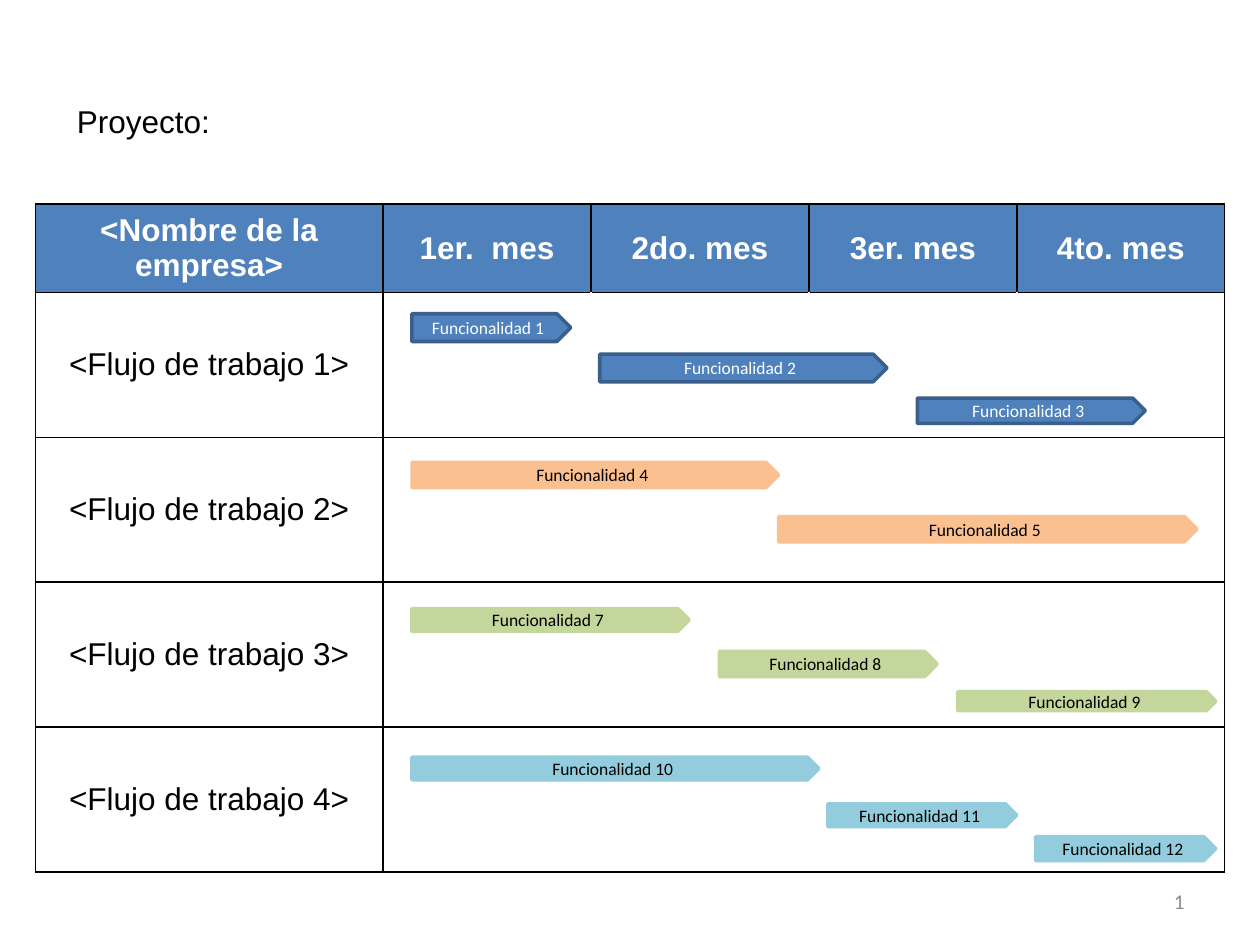
from lxml.etree import SubElement
from pptx import Presentation
from pptx.dml.color import RGBColor
from pptx.enum.shapes import MSO_SHAPE as Preset
from pptx.enum.text import MSO_ANCHOR as Anchor, MSO_AUTO_SIZE as AutoSize, PP_ALIGN as Align
from pptx.oxml.ns import qn
from pptx.util import Inches, Pt

BLACK, WHITE, BLUE, GREY = "000000", "FFFFFF", "4F81BD", "8C8C8C"
ORANGE, GREEN, AQUA, DARK_BLUE = "FAC090", "C3D69B", "93CDDD", "3A5F8C"
HEADINGS = ["<Nombre de la empresa>", "1er.  mes", "2do. mes", "3er. mes", "4to. mes"]
COLUMN_WIDTHS = [2.76, 1.65, 1.73, 1.65, 1.65]
HEADER_HEIGHT, ROW_HEIGHT = 0.66, 1.15

# Each workflow: fill, line, text colour, then bars of (number, left, top, width, height)
WORKFLOWS = [
    (BLUE, DARK_BLUE, WHITE, [(1, 3.27, 2.49, 1.26, 0.22), (2, 4.76, 2.81, 2.28, 0.22),
                              (3, 7.28, 3.16, 1.81, 0.2)]),
    (ORANGE, ORANGE, BLACK, [(4, 3.27, 3.67, 2.91, 0.2), (5, 6.18, 4.1, 3.32, 0.2)]),
    (GREEN, GREEN, BLACK, [(7, 3.27, 4.83, 2.2, 0.18), (8, 5.71, 5.17, 1.73, 0.2),
                           (9, 7.6, 5.49, 2.05, 0.15)]),
    (AQUA, AQUA, BLACK, [(10, 3.27, 6.01, 3.23, 0.18), (11, 6.57, 6.38, 1.5, 0.18),
                         (12, 8.22, 6.64, 1.43, 0.19)]),
]


def color(value):
    """Turn a hex string into a colour."""
    return RGBColor.from_string(value)


def style_font(font, name, size, value, bold=False):
    """Set the face, size, colour and weight of a font."""
    font.name, font.size, font.bold = name, Pt(size), bold
    font.color.rgb = color(value)


def write(frame, text, name, size, value, align=Align.CENTER, bold=False):
    """Write one run into the first paragraph of a text frame."""
    paragraph = frame.paragraphs[0]
    paragraph.alignment = align
    run = paragraph.add_run()
    run.text = text
    style_font(run.font, name, size, value, bold)


def add_title(slide):
    """Place the project heading in the title placeholder."""
    title = slide.shapes.title
    title.left, title.top = Inches(0.51), Inches(0.76)
    title.width, title.height = Inches(9.21), Inches(0.4)
    frame = title.text_frame
    frame.auto_size = AutoSize.NONE
    frame.vertical_anchor = Anchor.TOP
    write(frame, "Proyecto:", "Arial", 18, BLACK, Align.LEFT)


def add_slide_number(slide):
    """Add the slide number as a live field."""
    box = slide.shapes.add_textbox(Inches(7.17), Inches(6.95), Inches(2.33), Inches(0.4))
    frame = box.text_frame
    frame.word_wrap = True
    frame.vertical_anchor = Anchor.MIDDLE
    write(frame, "1", "Calibri", 12, GREY, Align.RIGHT)
    run = frame.paragraphs[0].runs[0]._r
    run.tag = qn("a:fld")
    run.set("id", "{B6F15528-21DE-4FAA-801E-634DDDAF4B2B}")
    run.set("type", "slidenum")


def set_borders(cell, left, right):
    """Draw 1 pt borders: black above and below, chosen colours at the sides."""
    properties = cell._tc.get_or_add_tcPr()
    for side, value in (("L", left), ("R", right), ("T", BLACK), ("B", BLACK)):
        line = SubElement(properties, qn("a:ln" + side), w=str(Pt(1)))
        fill = SubElement(line, qn("a:solidFill"))
        SubElement(fill, qn("a:srgbClr"), val=value)


def add_plan_table(slide):
    """Add the grid of workflows against months."""
    rows, columns = len(WORKFLOWS) + 1, len(HEADINGS)
    height = HEADER_HEIGHT + ROW_HEIGHT * len(WORKFLOWS)
    table = slide.shapes.add_table(rows, columns, Inches(0.28), Inches(1.62),
                                   Inches(sum(COLUMN_WIDTHS)), Inches(height)).table
    table.horz_banding = False
    for column, width in zip(table.columns, COLUMN_WIDTHS):
        column.width = Inches(width)
    for r, row in enumerate(table.rows):
        row.height = Inches(ROW_HEIGHT if r else HEADER_HEIGHT)
        for c, cell in enumerate(row.cells):
            open_left = r > 0 and c > 1
            open_right = r > 0 and 0 < c < columns - 1
            set_borders(cell, WHITE if open_left else BLACK, WHITE if open_right else BLACK)
            cell.vertical_anchor = Anchor.MIDDLE
            if r == 0:
                cell.fill.solid()
                cell.fill.fore_color.rgb = color(BLUE)
                write(cell.text_frame, HEADINGS[c], "Arial", 18, WHITE, bold=True)
            else:
                cell.fill.background()
                if c == 0:
                    write(cell.text_frame, f"<Flujo de trabajo {r}>", "Arial", 18, BLACK)


def add_bar(slide, number, box, fill, line, text_color):
    """Add one feature bar with a pointed right end."""
    bar = slide.shapes.add_shape(Preset.PENTAGON, *map(Inches, box))
    bar.shadow.inherit = False
    bar.fill.solid()
    bar.fill.fore_color.rgb = color(fill)
    bar.line.color.rgb = color(line)
    bar.line.width = Pt(2)
    bar.text_frame.word_wrap = True
    bar.text_frame.vertical_anchor = Anchor.MIDDLE
    write(bar.text_frame, f"Funcionalidad {number}", "Calibri", 10, text_color)


def main():
    """Build the project plan slide."""
    presentation = Presentation()
    presentation.slide_width, presentation.slide_height = Inches(10), Inches(7.5)
    slide = presentation.slides.add_slide(presentation.slide_layouts[5])
    add_title(slide)
    add_slide_number(slide)
    add_plan_table(slide)
    for fill, line, text_color, bars in WORKFLOWS:
        for number, *box in bars:
            add_bar(slide, number, box, fill, line, text_color)
    presentation.save("out.pptx")


main()
